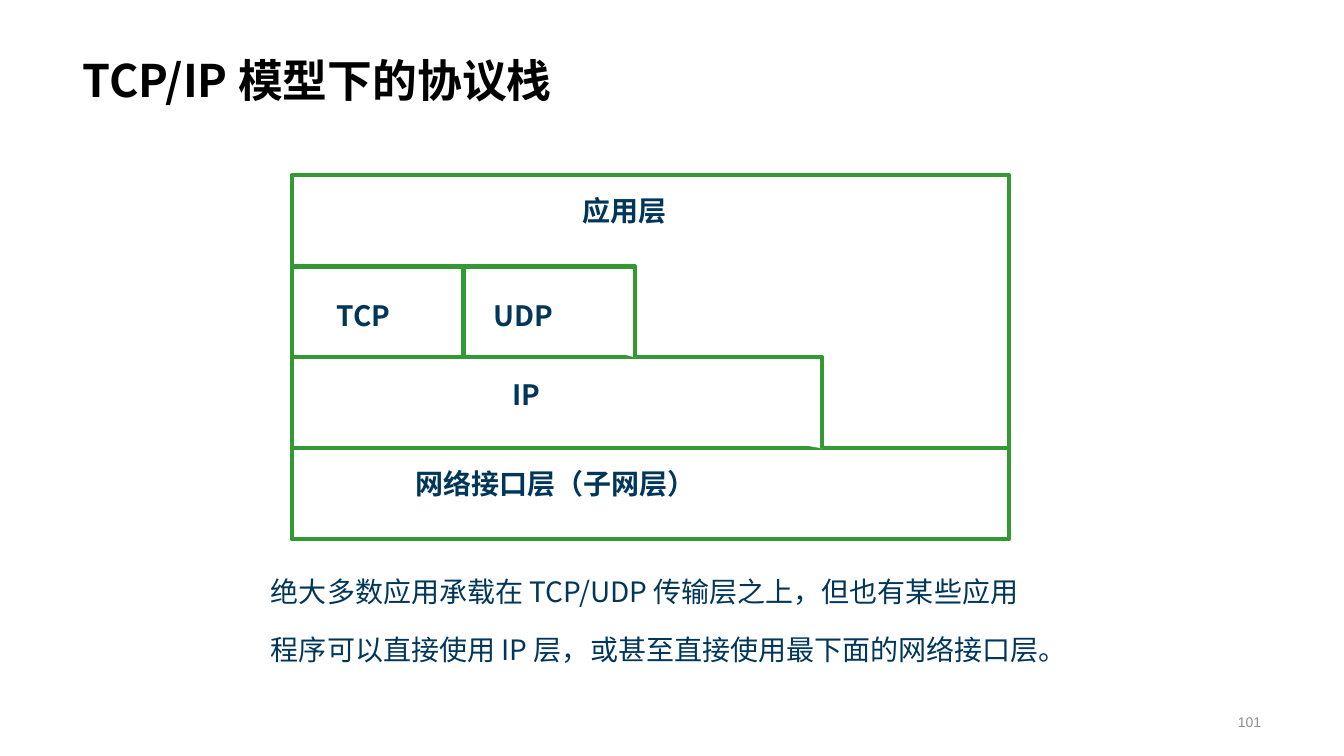
import pptx
import pptx.dml.color
import pptx.enum.shapes
import pptx.enum.text
import pptx.oxml
import pptx.oxml.ns
import pptx.util
from pptx.util import Cm

COLORS = {
    "title": "000000",
    "text": "003659",
    "frame": "339933",
    "layer": "FFFFFF",
    "number": "8C8C8C",
}
CJK_FONT = "Noto Sans CJK SC"


def rgb(name):
    return pptx.dml.color.RGBColor.from_string(COLORS[name])


def set_font(paragraph, size, color, bold=False, typeface=CJK_FONT):
    font = paragraph.font
    font.size = pptx.util.Pt(size)
    font.bold = bold
    font.color.rgb = rgb(color)
    font.name = typeface
    defaults = paragraph._p.pPr.find(pptx.oxml.ns.qn("a:defRPr"))
    namespace = pptx.oxml.ns.nsdecls("a")
    defaults.append(pptx.oxml.parse_xml(f'<a:ea {namespace} typeface="{typeface}"/>'))


def style_layer(layer):
    layer.shadow.inherit = False
    layer.fill.solid()
    layer.fill.fore_color.rgb = rgb("layer")
    layer.line.color.rgb = rgb("frame")
    layer.line.width = pptx.util.Pt(3)


def add_border(slide, x1, y1, x2, y2):
    border = slide.shapes.add_connector(
        pptx.enum.shapes.MSO_CONNECTOR.STRAIGHT, Cm(x1), Cm(y1), Cm(x2), Cm(y2))
    border.line.color.rgb = rgb("frame")
    border.line.width = pptx.util.Pt(3)
    border._element.spPr.append(
        pptx.oxml.parse_xml(f'<a:effectLst {pptx.oxml.ns.nsdecls("a")}/>'))


def add_step(slide, left, top, width, height):
    outline = slide.shapes.build_freeform(Cm(left), Cm(top))
    outline.add_line_segments(
        [(Cm(left + width), Cm(top)), (Cm(left + width), Cm(top + height))], close=False)
    style_layer(outline.convert_to_shape())


def add_label(slide, wording, left, top, width):
    label = slide.shapes.add_textbox(Cm(left), Cm(top), Cm(width), Cm(1.12))
    label.text_frame.word_wrap = True
    label.text_frame.text = wording
    set_font(label.text_frame.paragraphs[0], 20, "text", bold=True)


def add_title(slide, left, top, width, height):
    title = slide.shapes.title
    title.left, title.top, title.width, title.height = map(Cm, (left, top, width, height))
    title.text = "TCP/IP 模型下的协议栈"
    title.text_frame.auto_size = pptx.enum.text.MSO_AUTO_SIZE.NONE
    title.text_frame.vertical_anchor = pptx.enum.text.MSO_ANCHOR.BOTTOM
    heading = title.text_frame.paragraphs[0]
    heading.alignment = pptx.enum.text.PP_ALIGN.LEFT
    set_font(heading, 32, "title", bold=True)


def add_explanation(slide, left, top, width, height):
    explanation = slide.shapes.add_textbox(Cm(left), Cm(top), Cm(width), Cm(height))
    explanation.text_frame.word_wrap = True
    explanation.text_frame.text = (
        "绝大多数应用承载在 TCP/UDP 传输层之上，但也有某些应用\n"
        "程序可以直接使用 IP 层，或甚至直接使用最下面的网络接口层。")
    for index, sentence in enumerate(explanation.text_frame.paragraphs):
        sentence.line_spacing = 1.5
        sentence.space_before = pptx.util.Pt(6 if index else 0)
        set_font(sentence, 20, "text")


def add_protocol_stack(slide, left, top, width, height):
    row = height / 4
    transport_top, ip_top, network_top = (top + row * n for n in (1, 2, 3))
    transport_width, ip_width = 8.66, 13.37

    stack = slide.shapes.add_shape(
        pptx.enum.shapes.MSO_SHAPE.RECTANGLE, Cm(left), Cm(top), Cm(width), Cm(height))
    style_layer(stack)
    add_border(slide, left, network_top, left + width, network_top)
    add_step(slide, left, ip_top, ip_width, row)
    add_step(slide, left, transport_top, transport_width, row)
    middle = left + transport_width / 2
    add_border(slide, middle, transport_top, middle, ip_top)

    for wording, offset, label_top, label_width in (
        ("应用层", 7.09, top + 0.33, 3),
        ("TCP", 0.89, transport_top + 0.68, 3),
        ("UDP", 4.83, transport_top + 0.68, 3),
        ("IP", 5.31, ip_top + 0.38, 3),
        ("网络接口层（子网层）", 2.86, network_top + 0.34, 8.5),
    ):
        add_label(slide, wording, left + offset, label_top, label_width)


def add_page_number(slide, left, top, width, height):
    page = slide.shapes.add_textbox(Cm(left), Cm(top), Cm(width), Cm(height))
    page.text_frame.word_wrap = True
    page.text_frame.vertical_anchor = pptx.enum.text.MSO_ANCHOR.MIDDLE
    page.text_frame.text = "101"
    number = page.text_frame.paragraphs[0]
    number.alignment = pptx.enum.text.PP_ALIGN.RIGHT
    set_font(number, 10, "number", typeface="Arial")


def main():
    deck = pptx.Presentation()
    deck.slide_width, deck.slide_height = Cm(33.87), Cm(19.05)
    slide = deck.slides.add_slide(deck.slide_layouts.get_by_name("Title Only"))
    add_title(slide, 1.83, 0.36, 30.15, 2.46)
    add_explanation(slide, 6.58, 13.92, 20.65, 2.9)
    add_protocol_stack(slide, 7.35, 4.42, 18.08, 9.17)
    add_page_number(slide, 29.79, 17.81, 2.24, 0.76)
    deck.save("out.pptx")


if __name__ == "__main__":
    main()
